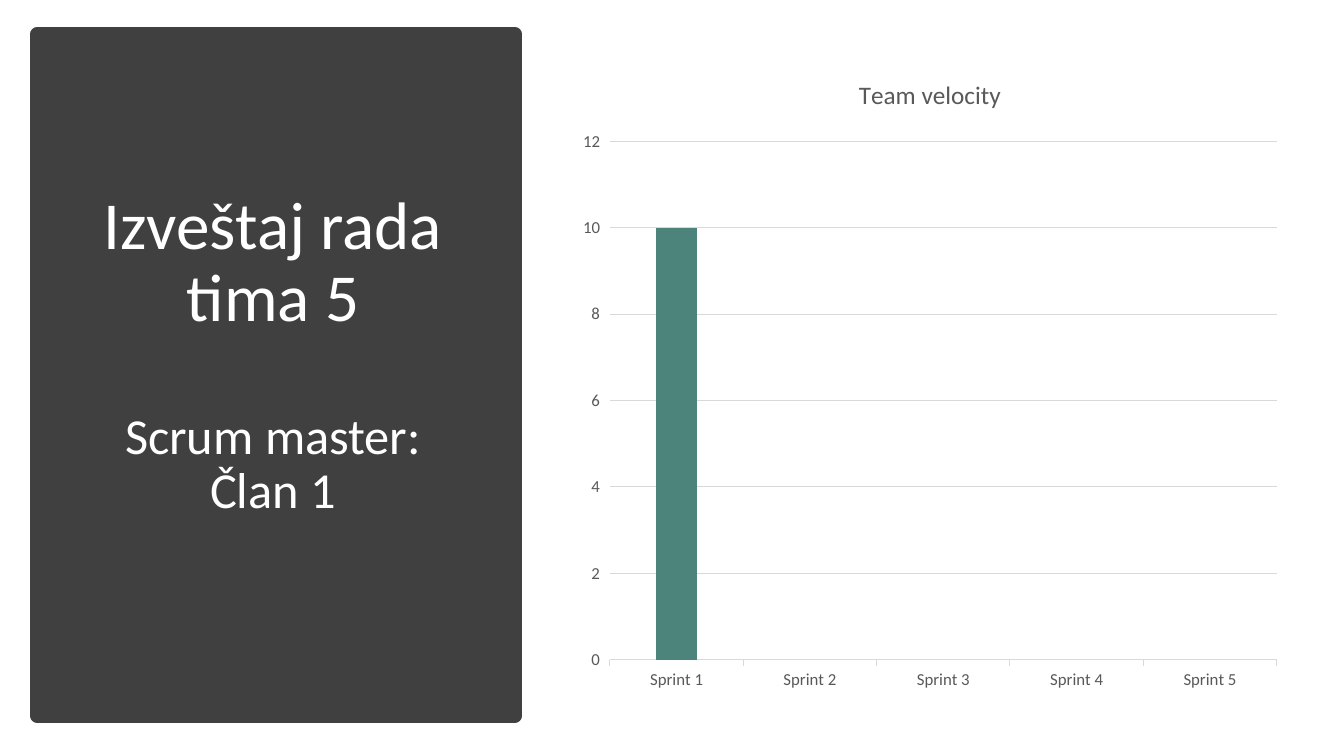
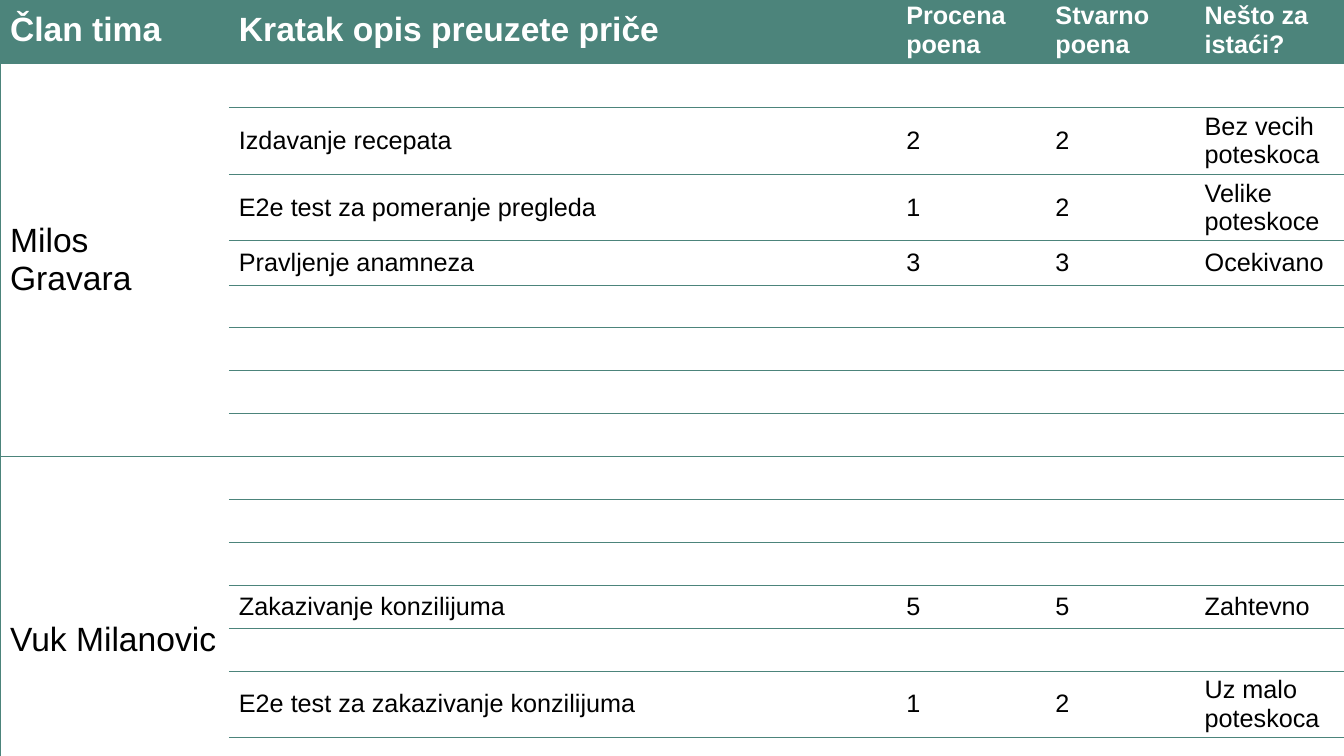
from lxml.etree import SubElement as Sub
from pptx import Presentation
from pptx.chart.data import CategoryChartData as Data
from pptx.dml.color import RGBColor
from pptx.enum.chart import XL_CHART_TYPE as Kind, XL_TICK_MARK as Tick
from pptx.enum.shapes import MSO_SHAPE as Form
from pptx.enum.text import MSO_ANCHOR as Anchor, MSO_AUTO_SIZE as Fit, PP_ALIGN as Align
from pptx.oxml.ns import qn
from pptx.util import Pt

TEAL, DARK, GREY, RULE = "4C847B", "404040", "595959", "D9D9D9"
WHITE, BLACK = "FFFFFF", "000000"
WIDE, HIGH = 960, 540
HEADS = ["Član tima", "Kratak opis preuzete priče", "Procena poena",
         "Stvarno poena", "Nešto za istaći?"]
TEAM = {1: "Milos\nGravara", 9: "Vuk Milanovic"}
SPAN = 8
TASKS = {
    2: ["Izdavanje recepata", "2", "2", "Bez vecih poteskoca"],
    3: ["E2e test za pomeranje pregleda", "1", "2", "Velike poteskoce"],
    4: ["Pravljenje anamneza", "3", "3", "Ocekivano"],
    12: ["Zakazivanje konzilijuma", "5", "5", "Zahtevno"],
    14: ["E2e test za zakazivanje konzilijuma", "1", "2", "Uz malo poteskoca"],
}
COLS = [163.5, 476.7, 106.6, 106.6, 106.6]
ROWS = [47.5, 31.5, 47.5, 47.5, 31.5] + [30.65] * 9 + [47.5] + [30.65] * 2


def tint(code):
    return RGBColor.from_string(code)


def paint(part, code):
    part.fill.solid()
    part.fill.fore_color.rgb = tint(code)


def style(font, size, code, face="Calibri", bold=False):
    font.size, font.name, font.bold = Pt(size), face, bold
    font.color.rgb = tint(code)


def stroke(line, code, width):
    line.color.rgb = tint(code)
    line.width = Pt(width)


def write(para, text, *look):
    run = para.add_run()
    run.text = text
    style(run.font, *look)


def panel(slide, box):
    left, top, width, height = box
    title = slide.shapes.title
    back = slide.shapes.add_shape(Form.RECTANGLE, *map(Pt, box))
    back.shadow.inherit = False
    paint(back, DARK)
    stroke(back.line, DARK, 10)
    title.element.addprevious(back.element)
    title.left, title.top = Pt(left + 31.7), Pt(top + 33.8)
    title.width, title.height = Pt(width - 67.7), Pt(height - 95.8)
    frame = title.text_frame
    frame.word_wrap, frame.auto_size = True, Fit.NONE
    frame.vertical_anchor = Anchor.MIDDLE
    parts = [(48, 0, ["Izveštaj rada", "tima 5"]),
             (36, 53, ["Scrum master:", "Član 1"])]
    for spot, (size, gap, lines) in enumerate(parts):
        para = frame.add_paragraph() if spot else frame.paragraphs[0]
        para.alignment, para.line_spacing = Align.CENTER, 0.9
        para.space_before = Pt(gap)
        write(para, lines[0], size, WHITE)
        para.add_line_break()
        write(para, lines[1], size, WHITE)


def graph(slide, box):
    data = Data()
    data.categories = [f"Sprint {num}" for num in range(1, 6)]
    data.add_series("Series 1", [10] + [None] * 4)
    chart = slide.shapes.add_chart(Kind.COLUMN_CLUSTERED, *map(Pt, box), data).chart
    style(chart.font, 10, BLACK)
    chart.has_legend = False
    chart.has_title = True
    write(chart.chart_title.text_frame.paragraphs[0], "Team velocity", 18, GREY)
    plot = chart.plots[0]
    plot.vary_by_categories = False
    plot.gap_width, plot.overlap = 219, -27
    paint(plot.series[0].format, TEAL)
    cat, val = chart.category_axis, chart.value_axis
    for axis in (cat, val):
        style(axis.tick_labels.font, 12, GREY)
        axis.major_tick_mark = Tick.OUTSIDE
    stroke(cat.format.line, RULE, 0.75)
    val.format.line.fill.background()
    stroke(val.major_gridlines.format.line, RULE, 0.75)
    val.minimum_scale, val.maximum_scale, val.major_unit = 0, 12, 2


def edge(cell, sides):
    props = cell._tc.get_or_add_tcPr()
    for side in "LRTB":
        line = Sub(props, qn(f"a:ln{side}"), w=str(Pt(0.5)))
        if side in sides:
            fill = Sub(line, qn("a:solidFill"))
            Sub(fill, qn("a:srgbClr"), val=TEAL)
        else:
            Sub(line, qn("a:noFill"))


def fill(cell, text, *look):
    cell.vertical_anchor = Anchor.MIDDLE
    frame = cell.text_frame
    for spot, line in enumerate(text.split("\n")):
        para = frame.add_paragraph() if spot else frame.paragraphs[0]
        if line:
            write(para, line, *look)


def report(slide, left, top):
    box = map(Pt, (left, top, sum(COLS), sum(ROWS)))
    grid = slide.shapes.add_table(len(ROWS), len(COLS), *box).table
    grid.first_row = grid.horz_banding = False
    for col, width in zip(grid.columns, COLS):
        col.width = Pt(width)
    for row, height in zip(grid.rows, ROWS):
        row.height = Pt(height)
    for start in TEAM:
        grid.cell(start, 0).merge(grid.cell(start + SPAN - 1, 0))
    for row in range(len(ROWS)):
        texts = [TEAM.get(row, "")] + TASKS.get(row, [""] * 4) if row else HEADS
        for col, text in enumerate(texts):
            cell = grid.cell(row, col)
            sides = "TB" + {0: "L", len(COLS) - 1: "R"}.get(col, "")
            edge(cell, "" if cell.is_spanned else sides)
            paint(cell, WHITE if row else TEAL)
            size = 24 if col == 0 or (row == 0 and col == 1) else 18
            fill(cell, text, size, BLACK if row else WHITE, "Arial", row == 0)


deck = Presentation()
deck.slide_width, deck.slide_height = Pt(WIDE), Pt(HIGH)
cover = deck.slides.add_slide(deck.slide_layouts[5])
panel(cover, (26.6, 24.5, 341.3, 486.7))
graph(cover, (406.1, 38.9, 516.2, 463))
report(deck.slides.add_slide(deck.slide_layouts[6]), 0, -2.16)
deck.save("out.pptx")
